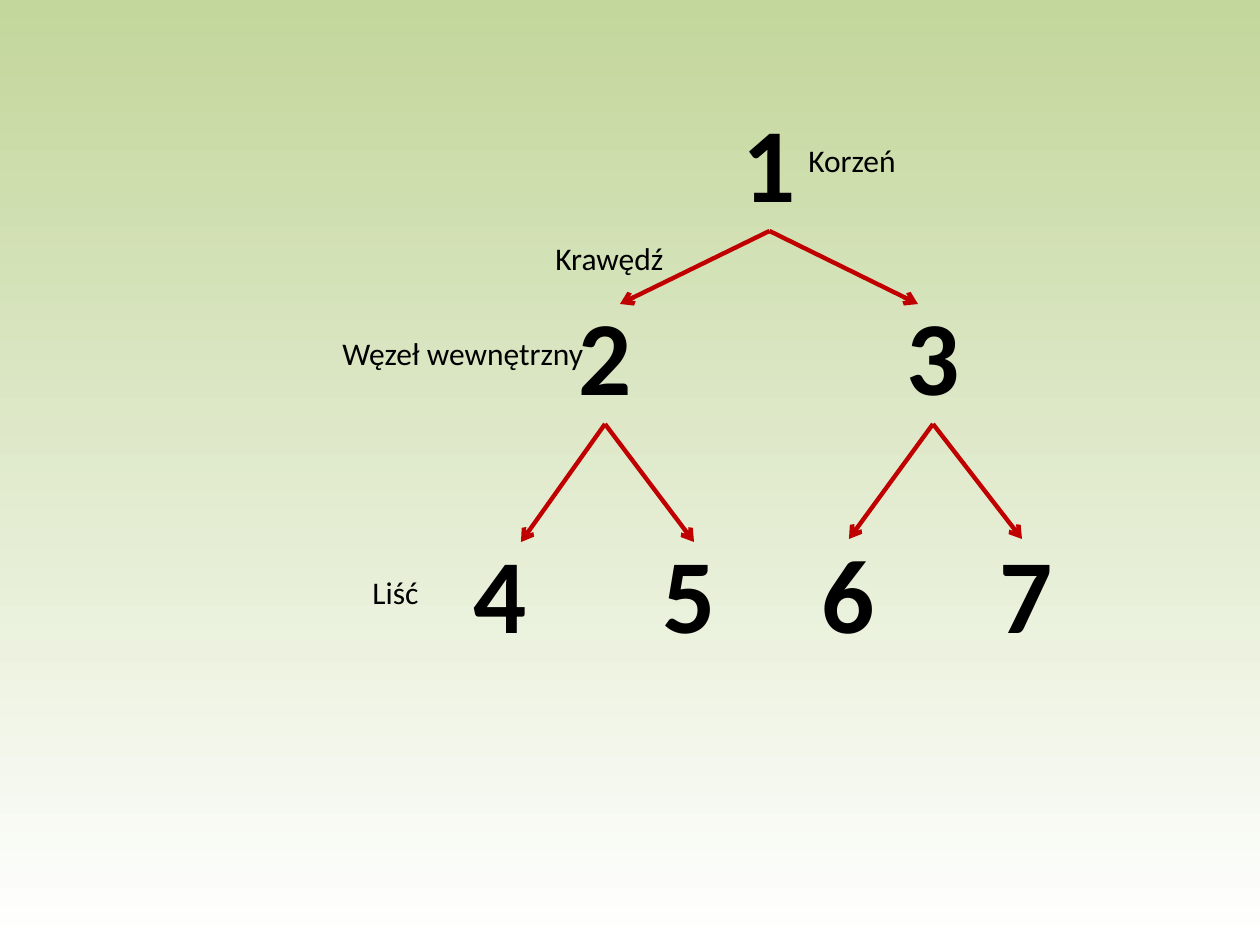
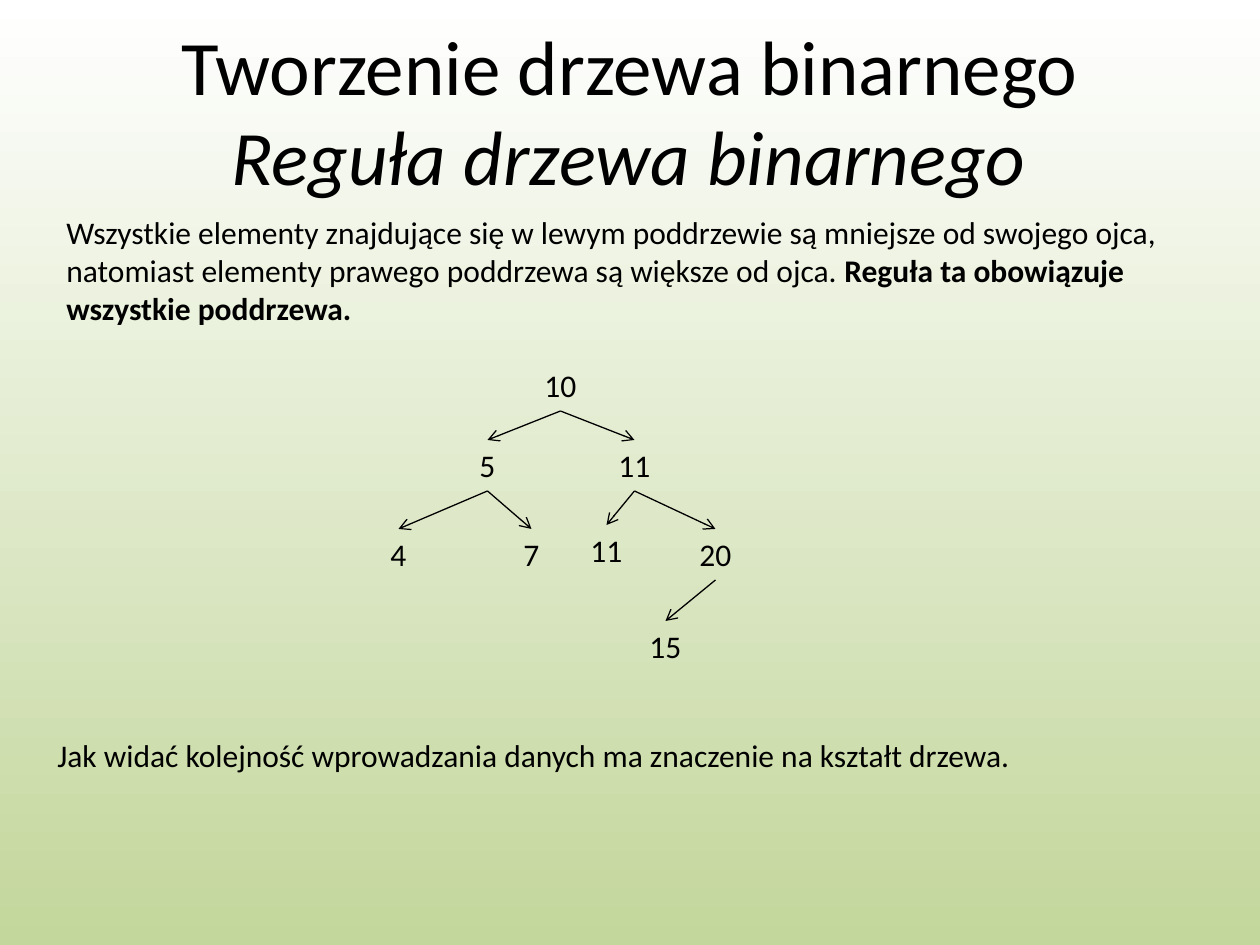
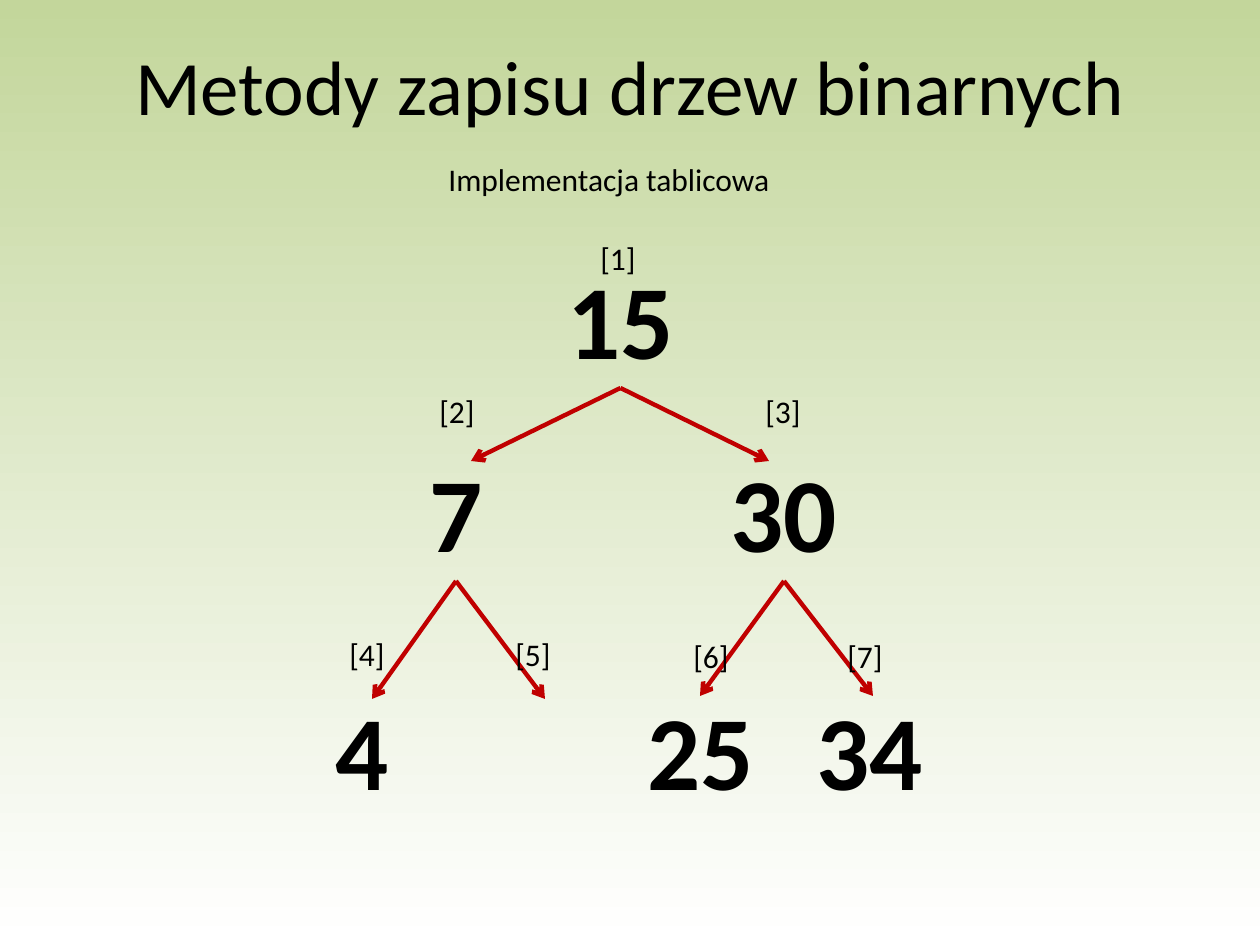
"""Build three slides on binary trees."""
from dataclasses import dataclass
from lxml.etree import SubElement as Sub
from pptx import Presentation as Deck
from pptx.dml.color import RGBColor as Rgb
from pptx.enum.shapes import MSO_CONNECTOR as Con
from pptx.enum.text import MSO_ANCHOR as Anchor, MSO_AUTO_SIZE as Fit, PP_ALIGN as Align
from pptx.oxml.ns import qn
from pptx.util import Pt


@dataclass(frozen=True)
class Theme:
    """Hold the colours and the type sizes."""
    font: str = "Calibri"
    ink: Rgb = Rgb(0, 0, 0)
    red: Rgb = Rgb(0xC0, 0, 0)
    green: Rgb = Rgb(0xC3, 0xD6, 0x9B)
    white: Rgb = Rgb(255, 255, 255)
    title: int = 44
    node: int = 60
    body: int = 18
    thick: float = 2.5
    thin: float = 0.75


def emu(num):
    """Turn px into EMU."""
    return round(num * 914400 / 126)


class Pen:
    """Draw on the current slide in one style."""

    def __init__(self, theme):
        """Open a deck of 1260 by 945 px."""
        self.theme = theme
        self.deck = Deck()
        self.deck.slide_width, self.deck.slide_height = emu(1260), emu(945)
        self.slide = None

    def page(self, top, base):
        """Start a slide that fades from top to base."""
        self.slide = self.deck.slides.add_slide(self.deck.slide_layouts[6])
        fill = self.slide.background.fill
        fill.gradient()
        fill.gradient_angle = 270
        for stop, tint in zip(fill.gradient_stops, (top, base)):
            stop.color.rgb = tint

    def text(self, runs, x, y, wide, high=51, size=None, mid=False, **form):
        """Write a string, or pairs of string and format, in a box."""
        box = self.slide.shapes.add_textbox(*map(emu, (x, y, wide, high)))
        frame = box.text_frame
        frame.word_wrap, frame.auto_size = True, Fit.SHAPE_TO_FIT_TEXT
        para = frame.paragraphs[0]
        para.alignment = Align.CENTER if mid else Align.LEFT
        for words, more in [(runs, {})] if isinstance(runs, str) else runs:
            run = para.add_run()
            run.text = words
            look = {"name": self.theme.font, "size": Pt(size or self.theme.body)}
            for key, val in {**look, **form, **more}.items():
                setattr(run.font, key, val)
            run.font.color.rgb = self.theme.ink
        return box

    def title(self, words, x, y, high, **form):
        """Write a centred title line."""
        box = self.text(words, x, y, 1134, high, self.theme.title, True, **form)
        box.text_frame.auto_size = Fit.NONE
        box.text_frame.vertical_anchor = Anchor.MIDDLE

    def node(self, words, x, y, wide, mid=True):
        """Write a big bold node."""
        return self.text(words, x, y, wide, 140, self.theme.node, mid, bold=True)

    def arrow(self, start, tint, width, x=0, y=0, end=None):
        """Point from the foot of a box to a spot or to the top of a box."""
        line = self.slide.shapes.add_connector(Con.STRAIGHT, 0, 0, emu(x), emu(y))
        line.begin_connect(start, 2)
        if end is not None:
            line.end_connect(end, 0)
        line.line.color.rgb, line.line.width = tint, Pt(width)
        prop = line._element.spPr
        Sub(prop.find(qn("a:ln")), qn("a:tailEnd"), type="arrow")
        Sub(prop, qn("a:effectLst"))

    def tree(self, x, y, names, leaves):
        """Draw a big tree whose root has its top centre at x, y."""
        look = self.theme.red, self.theme.thick
        root = self.node(names[0], x - 178, y, 357)
        for name, side, drop in zip(names[1:], (-1, 1), (451, 448)):
            mid = x + side * 164
            kid = self.node(name, mid - 104, y + 193, 208)
            self.arrow(root, *look, x + side * 149, y + 213)
            for step in (-84, 89):
                self.arrow(kid, *look, mid + step, y + drop)
        for name, left, wide in leaves:
            self.node(name, left, y + 431, wide, False)


def parts(pen):
    """Name the parts of a tree."""
    pen.page(pen.theme.green, pen.theme.white)
    pen.tree(769, 91, "123", [("4", 461, 89), ("5", 650, 89),
                              ("6", 809, 89), ("7", 987, 89)])
    for tag in (("Krawędź", 543, 233, 228), ("Korzeń", 796, 135, 228),
                ("Węzeł wewnętrzny", 330, 328, 277), ("Liść", 360, 567, 110)):
        pen.text(*tag)


def rule(pen):
    """State the rule and show a small tree."""
    pen.page(pen.theme.white, pen.theme.green)
    pen.title("Tworzenie drzewa binarnego", 63, 6, 118)
    pen.title("Reguła drzewa binarnego", 62, 96, 118, italic=True)
    pen.text([("Wszystkie elementy znajdujące się w lewym poddrzewie są mniejsze "
               "od swojego ojca, natomiast elementy prawego poddrzewa są większe "
               "od ojca. ", {}),
              ("Reguła ta obowiązuje wszystkie poddrzewa.", {"bold": True})],
             54, 207, 1121, 127)
    nodes = []
    for name, x, y, dad in (("10", 524, 360, None), ("5", 451, 440, 0),
                            ("11", 598, 440, 0), ("4", 362, 529, 1),
                            ("7", 495, 529, 1), ("11", 570, 525, 2),
                            ("20", 679, 529, 2), ("15", 629, 621, 6)):
        nodes.append(pen.text(name, x, y, 73, mid=True))
        if dad is not None:
            pen.arrow(nodes[dad], pen.theme.ink, pen.theme.thin, end=nodes[-1])
    pen.text("Jak widać kolejność wprowadzania danych ma znaczenie na kształt drzewa.",
             45, 730, 1121)


def array(pen):
    """Show a tree with its array indices."""
    pen.page(pen.theme.green, pen.theme.white)
    pen.title("Metody zapisu drzew binarnych", 63, 6, 158)
    pen.text("Implementacja tablicowa", 436, 154, 362)
    pen.tree(620, 248, ("15", "7", "30"),
             [("4", 323, 89), ("25", 635, 139), ("34", 804, 154)])
    spots = ((586, 233), (425, 386), (751, 386), (335, 629),
             (501, 629), (679, 631), (833, 631))
    for num, (x, y) in enumerate(spots, 1):
        pen.text(f"[{num}]", x, y, 64, mid=True)


def main():
    """Build and save the deck."""
    pen = Pen(Theme())
    for draw in (parts, rule, array):
        draw(pen)
    pen.deck.save("out.pptx")


if __name__ == "__main__":
    main()
